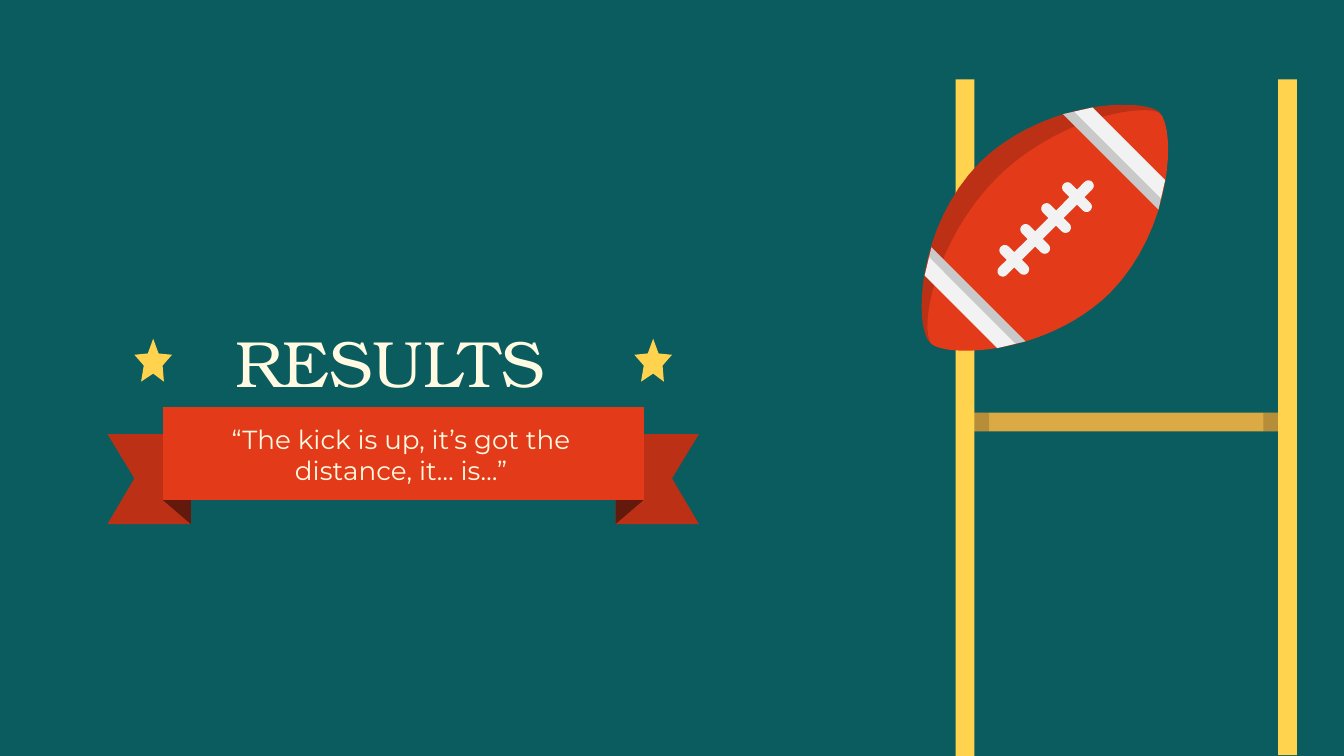
import math
from dataclasses import dataclass

import pptx
import pptx.dml.color
import pptx.enum.shapes
import pptx.enum.text
import pptx.oxml
import pptx.oxml.ns
import pptx.util
from pptx.util import Inches

Point = tuple[float, float]
Outline = list[tuple[float, ...]]


@dataclass(frozen=True)
class Paint:
    color: str
    opacity: int = 100


@dataclass(frozen=True)
class Theme:
    background: Paint = Paint("0B5C5E")
    red: Paint = Paint("E33B1A")
    yellow: Paint = Paint("FFD34E")
    crossbar: Paint = Paint("DBAA44")
    white: Paint = Paint("F2F2F2")
    shade: Paint = Paint("000000", 17)
    fold: Paint = Paint("000000", 47)
    text: str = "FFFAE1"
    title_font: str = "TeX Gyre Bonum"
    body_font: str = "Montserrat"
    title_size: int = 35
    body_size: int = 14


@dataclass(frozen=True)
class Bar:
    left: float
    top: float
    width: float
    height: float
    paint: Paint


@dataclass(frozen=True)
class Part:
    """An outline of points (x, y) and cubic curves (x1, y1, x2, y2, x, y)."""
    outline: Outline
    paint: Paint


THEME = Theme()
RIBBON_AXIS = 3.0

GOAL = [
    Bar(7.12, 3.07, 2.52, 0.14, THEME.crossbar),
    Bar(7.12, 3.07, 0.24, 0.14, THEME.shade),
    Bar(9.4, 3.07, 0.24, 0.14, THEME.shade),
    Bar(9.51, 0.59, 0.14, 5.03, THEME.yellow),
    Bar(7.11, 0.59, 0.14, 5.04, THEME.yellow),
]

BALL_BACK: Outline = [
    (8.36, 0.78),
    (8.07, 0.78, 7.62, 0.89, 7.29, 1.21),
    (6.82, 1.69, 6.8, 2.43, 6.92, 2.55),
]
BALL = [
    Part(BALL_BACK + [
        (6.96, 2.59, 7.05, 2.61, 7.19, 2.61),
        (7.48, 2.61, 7.93, 2.5, 8.26, 2.18),
        (8.73, 1.7, 8.75, 0.96, 8.63, 0.84),
        (8.59, 0.8, 8.49, 0.78, 8.36, 0.78),
    ], THEME.red),
    Part(BALL_BACK + [
        (6.93, 2.56),
        (6.84, 2.44, 6.95, 1.8, 7.41, 1.33),
        (7.78, 0.96, 8.27, 0.82, 8.51, 0.82),
        (8.57, 0.82, 8.62, 0.83, 8.64, 0.85),
        (8.6, 0.8, 8.49, 0.78, 8.36, 0.78),
    ], THEME.shade),
    Part([(8.13, 0.8), (7.91, 0.85), (8.62, 1.56), (8.67, 1.34)], THEME.white),
    Part([(6.93, 1.84), (6.88, 2.05), (7.42, 2.59), (7.63, 2.54)], THEME.white),
    Part([(6.93, 1.84), (6.91, 1.91), (7.56, 2.56), (7.63, 2.54)], THEME.shade),
    Part([(7.99, 0.83), (7.91, 0.85), (8.62, 1.56), (8.64, 1.48)], THEME.shade),
]

LEFT_TAIL: Outline = [(0.8, 3.23), (1, 3.56), (0.8, 3.9), (1.42, 3.9), (1.42, 3.23)]
LEFT_FOLD: Outline = [(1.42, 3.6), (1.21, 3.72), (1.42, 3.9)]
BAND: Outline = [(1.21, 3.03), (1.21, 3.72), (4.79, 3.72), (4.79, 3.03)]
STAR: Outline = [(0.14, 0), (0.1, 0.11), (0, 0.12), (0.07, 0.2), (0.05, 0.32),
                 (0.14, 0.26), (0.22, 0.32), (0.21, 0.2), (0.28, 0.12), (0.18, 0.11)]


def apply_paint(fill, paint: Paint) -> None:
    fill.solid()
    fill.fore_color.rgb = pptx.dml.color.RGBColor.from_string(paint.color)


def finish(shape, paint: Paint) -> None:
    apply_paint(shape.fill, paint)
    shape.line.fill.background()
    shape.shadow.inherit = False
    if paint.opacity < 100:
        color = shape.element.spPr.find(".//" + pptx.oxml.ns.qn("a:srgbClr"))
        namespace = pptx.oxml.ns.nsdecls("a")
        color.append(pptx.oxml.parse_xml(
            f'<a:alpha {namespace} val="{paint.opacity * 1000}"/>'))


def flatten(outline: Outline, steps: int = 16) -> list[Point]:
    """Replace each cubic curve by short straight steps."""
    points: list[Point] = []
    for node in outline:
        if len(node) == 2:
            points.append((node[0], node[1]))
            continue
        x0, y0 = points[-1]
        x1, y1, x2, y2, x3, y3 = node
        for step in range(1, steps + 1):
            t = step / steps
            a, b, c, d = (1 - t) ** 3, 3 * t * (1 - t) ** 2, 3 * t * t * (1 - t), t ** 3
            points.append((a * x0 + b * x1 + c * x2 + d * x3,
                           a * y0 + b * y1 + c * y2 + d * y3))
    return points


def half_circle(center: Point, radius: float, start: int) -> list[Point]:
    angles = [math.radians(start + turn) for turn in range(0, 181, 20)]
    return [(center[0] + radius * math.cos(angle), center[1] + radius * math.sin(angle))
            for angle in angles]


def lace_outline() -> Outline:
    """Trace one side of the stitched lace, then its point reflection, turned by 45 degrees."""
    center_x, center_y = 7.78, 1.7
    radius, reach, stitch, gap = 0.04, 0.45, 0.1, 0.22
    side: list[Point] = []
    for index in range(4):
        along = (index - 1.5) * gap
        side += [(along - radius, -radius), *half_circle((along, -stitch), radius, 180),
                 (along + radius, -radius)]
    side += half_circle((reach, 0), radius, -90)
    whole = side + [(-u, -v) for u, v in side]
    turn = math.sqrt(0.5)
    return [(center_x + (u + v) * turn, center_y + (v - u) * turn) for u, v in whole]


def mirror(outline: Outline) -> Outline:
    return [(2 * RIBBON_AXIS - x, y) for x, y in outline]


def draw_bar(group, bar: Bar) -> None:
    shape = group.shapes.add_shape(
        pptx.enum.shapes.MSO_SHAPE.RECTANGLE,
        Inches(bar.left), Inches(bar.top), Inches(bar.width), Inches(bar.height))
    finish(shape, bar.paint)


def draw_part(group, part: Part) -> None:
    points = [(Inches(x), Inches(y)) for x, y in flatten(part.outline)]
    builder = group.shapes.build_freeform(*points[0])
    builder.add_line_segments(points[1:], close=True)
    finish(builder.convert_to_shape(), part.paint)


def draw_parts(slide, parts: list[Part]) -> None:
    group = slide.shapes.add_group_shape()
    for part in parts:
        draw_part(group, part)


def fill_placeholder(slide, box, text: str, area: tuple[float, float, float, float],
                     font_name: str, size: int, alignment) -> None:
    """Place, write and format a placeholder in front of the shapes drawn so far."""
    slide.shapes.element.append(box.element)
    box.left, box.top, box.width, box.height = (Inches(value) for value in area)
    frame = box.text_frame
    frame.text = text
    frame.word_wrap = True
    frame.auto_size = pptx.enum.text.MSO_AUTO_SIZE.NONE
    frame.vertical_anchor = pptx.enum.text.MSO_ANCHOR.TOP
    frame.margin_left = frame.margin_right = Inches(0.04)
    frame.margin_top = frame.margin_bottom = Inches(0.04)
    para = frame.paragraphs[0]
    para.alignment = alignment
    para.space_before = pptx.util.Pt(0)
    font = para.runs[0].font
    font.name, font.size = font_name, pptx.util.Pt(size)
    font.color.rgb = pptx.dml.color.RGBColor.from_string(THEME.text)


def main() -> None:
    deck = pptx.Presentation()
    deck.slide_width, deck.slide_height = Inches(10), Inches(10 * 9 / 16)
    slide = deck.slides.add_slide(deck.slide_layouts[0])
    apply_paint(slide.background.fill, THEME.background)
    title, subtitle = slide.placeholders

    goal = slide.shapes.add_group_shape()
    for bar in GOAL:
        draw_bar(goal, bar)
    draw_parts(slide, BALL + [Part(lace_outline(), THEME.white)])

    ribbon = [Part(shape, paint)
              for outline, paint in ((LEFT_TAIL, THEME.red), (LEFT_TAIL, THEME.shade),
                                     (LEFT_FOLD, THEME.fold))
              for shape in (mirror(outline), outline)]
    draw_parts(slide, ribbon + [Part(BAND, THEME.red)])

    align = pptx.enum.text.PP_ALIGN
    fill_placeholder(slide, subtitle, "“The kick is up, it’s got the distance, it… is…”",
                     (1.32, 3.11, 3.33, 0.56), THEME.body_font, THEME.body_size, align.CENTER)
    fill_placeholder(slide, title, "RESULTS", (1.71, 2.36, 2.54, 0.87),
                     THEME.title_font, THEME.title_size, align.LEFT)
    draw_parts(slide, [Part([(left + x, 2.52 + y) for x, y in STAR], THEME.yellow)
                       for left in (1, 4.72)])
    deck.save("out.pptx")


if __name__ == "__main__":
    main()
